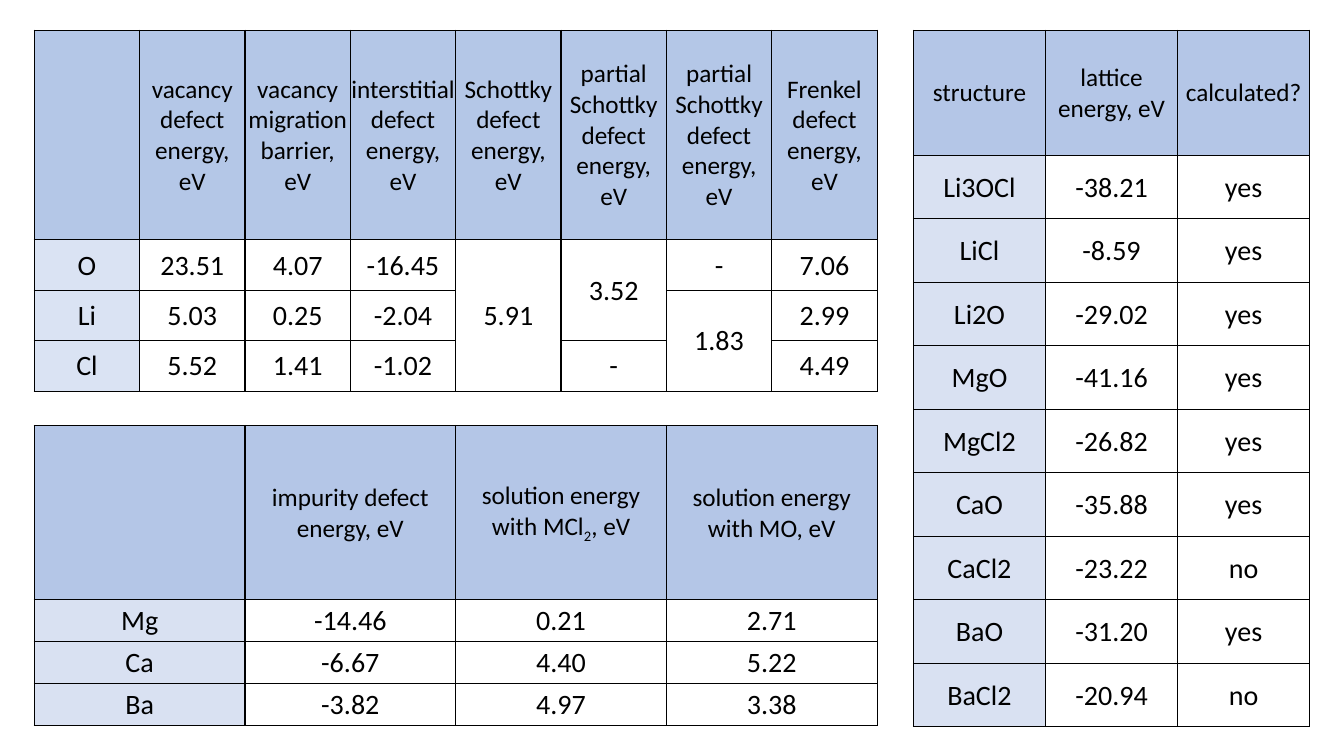
from lxml import etree
from pptx import Presentation
from pptx import util as u
from pptx.dml.color import RGBColor
from pptx.enum import text
from pptx.oxml import ns

FONT = "Calibri"
INK = "000000"
WHITE = "FFFFFF"


def rgb(code):
    return RGBColor.from_string(code)


def edge(cell):
    """Draw a thin solid line on all four sides of the cell."""
    props = cell._tc.get_or_add_tcPr()
    for side in ("lnL", "lnR", "lnT", "lnB"):
        line = etree.SubElement(props, ns.qn(f"a:{side}"), w=str(u.Pt(1)))
        fill = etree.SubElement(line, ns.qn("a:solidFill"))
        etree.SubElement(fill, ns.qn("a:srgbClr"), val=INK)


def write(cell, words, size):
    """Fill in centred text; a part between underscores is a subscript."""
    cell.vertical_anchor = text.MSO_ANCHOR.MIDDLE
    cell.margin_left = cell.margin_right = cell.margin_top = u.Inches(0.01)
    cell.margin_bottom = 0
    para = cell.text_frame.paragraphs[0]
    para.alignment = text.PP_ALIGN.CENTER
    if not words:
        return
    first, *rest = words.split("_")
    para.text = first
    for part in rest:
        para.add_run().text = part
    for i, run in enumerate(para.runs):
        run.font.name = FONT
        run.font.size = u.Pt(size)
        run.font.color.rgb = rgb(INK)
        if i % 2:
            run.font._element.set("baseline", "-25000")


def paint(cell, code):
    if code:
        cell.fill.solid()
        cell.fill.fore_color.rgb = rgb(code)
    else:
        cell.fill.background()


def grid(slide, box, head, step, rows, fills, spans=()):
    """Add a table; fills are for the header, first column and body."""
    left, top, width, high = map(u.Inches, box)
    count = len(rows[0])
    table = slide.shapes.add_table(
        len(rows), count, left, top, width, high).table
    table.horz_banding = table.first_row = False
    for col in table.columns:
        col.width = int(width / count)
    for r, row in enumerate(rows):
        table.rows[r].height = u.Inches(step if r else head)
        for c, words in enumerate(row):
            cell = table.cell(r, c)
            edge(cell)
            paint(cell, fills[0] if r == 0 else fills[1] if c == 0 else fills[2])
            write(cell, words, 20 if r else 18)
    for start, end in spans:
        table.cell(*start).merge(table.cell(*end))


def main():
    deck = Presentation()
    deck.slide_width = u.Inches(13.33)
    deck.slide_height = u.Inches(7.5)
    slide = deck.slides.add_slide(deck.slide_layouts[6])

    defects = [
        ["", "vacancy defect energy, eV", "vacancy migration barrier, eV",
         "interstitial defect energy, eV", "Schottky defect energy, eV",
         "partial Schottky defect energy, eV",
         "partial Schottky defect energy, eV", "Frenkel defect energy, eV"],
        ["O", "23.51", "4.07", "-16.45", "5.91", "3.52", "-", "7.06"],
        ["Li", "5.03", "0.25", "-2.04", "", "", "1.83", "2.99"],
        ["Cl", "5.52", "1.41", "-1.02", "", "-", "", "4.49"],
    ]
    grid(slide, (0.34, 0.3, 8.36, 3.57), 2.08, 0.5, defects,
         ("B4C7E7", "DAE3F3", WHITE),
         [((1, 4), (3, 4)), ((1, 5), (2, 5)), ((2, 6), (3, 6))])

    fills = ("B4C6E7", "D9E1F2", None)
    dopants = [
        ["", "impurity defect energy, eV", "solution energy with MCl_2_, eV",
         "solution energy with MO, eV"],
        ["Mg", "-14.46", "0.21", "2.71"],
        ["Ca", "-6.67", "4.40", "5.22"],
        ["Ba", "-3.82", "4.97", "3.38"],
    ]
    grid(slide, (0.34, 4.22, 8.36, 2.98), 1.73, 0.415, dopants, fills)

    lattice = [
        ["structure", "lattice energy, eV", "calculated?"],
        ["Li3OCl", "-38.21", "yes"],
        ["LiCl", "-8.59", "yes"],
        ["Li2O", "-29.02", "yes"],
        ["MgO", "-41.16", "yes"],
        ["MgCl2", "-26.82", "yes"],
        ["CaO", "-35.88", "yes"],
        ["CaCl2", "-23.22", "no"],
        ["BaO", "-31.20", "yes"],
        ["BaCl2", "-20.94", "no"],
    ]
    grid(slide, (9.06, 0.3, 3.93, 6.9), 1.24, 0.63, lattice, fills)

    deck.save("out.pptx")


if __name__ == "__main__":
    main()
